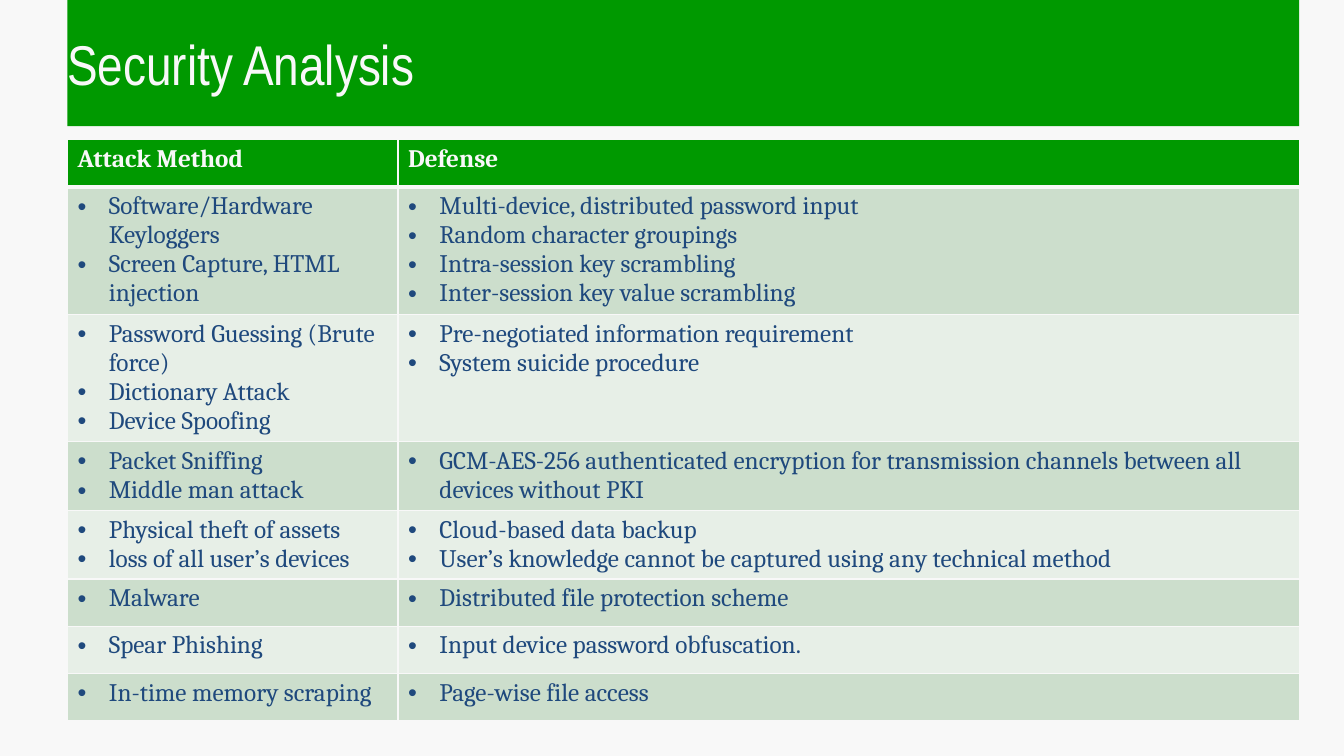
from lxml.etree import SubElement
from pptx import Presentation
from pptx.dml.color import RGBColor
from pptx.enum.shapes import MSO_SHAPE as Shape
from pptx.enum.text import MSO_ANCHOR as Anchor, PP_ALIGN as Align
from pptx.oxml.ns import qn
from pptx.util import Cm, Pt

GREEN, PALE, PALER = "009900", "CCDECC", "E7EFE7"
NAVY, WHITE = "1F497D", "F8F8F8"
LEFT, WIDTH = 1.7, 31.04
COLUMNS = (8.33, 22.71)

HEADINGS = ("Attack Method", "Defense")
# Lines of text in the taller cell, attacks, defenses
ROWS = [
    (4, ["Software/Hardware Keyloggers", "Screen Capture, HTML injection"],
     ["Multi-device, distributed password input", "Random character groupings",
      "Intra-session key scrambling", "Inter-session key value scrambling"]),
    (4, ["Password Guessing (Brute force)", "Dictionary Attack", "Device Spoofing"],
     ["Pre-negotiated information requirement", "System suicide procedure"]),
    (2, ["Packet Sniffing", "Middle man attack"],
     ["GCM-AES-256 authenticated encryption for transmission channels between all "
      "devices without PKI"]),
    (2, ["Physical theft of assets", "loss of all user’s devices"],
     ["Cloud-based data backup",
      "User’s knowledge cannot be captured using any technical method"]),
    (1, ["Malware"], ["Distributed file protection scheme"]),
    (1, ["Spear Phishing"], ["Input device password obfuscation."]),
    (1, ["In-time memory scraping"], ["Page-wise file access"]),
]


def color(value):
    return RGBColor.from_string(value)


def row_height(lines):
    return max(1.19, 0.25 + 0.74 * lines)


class Page:
    """The current slide and its text styles."""
    title_font, body_font = "Arial Narrow", "Cambria"
    title_size, body_size = 40, 18

    def __init__(self, deck):
        self.slide = deck.slides.add_slide(deck.slide_layouts[6])
        self.paint(self.slide.background, WHITE)

    def paint(self, item, value):
        item.fill.solid()
        item.fill.fore_color.rgb = color(value)

    def style(self, para, name, size, value, bold=False):
        font = para.font
        font.name, font.size, font.bold = name, Pt(size), bold
        font.color.rgb = color(value)

    def title(self, text, left, top, width, height):
        banner = self.slide.shapes.add_shape(
            Shape.RECTANGLE, Cm(left), Cm(top), Cm(width), Cm(height))
        banner.shadow.inherit = False
        self.paint(banner, GREEN)
        banner.line.fill.background()
        frame = banner.text_frame
        frame.margin_left = frame.margin_right = frame.margin_top = frame.margin_bottom = 0
        frame.vertical_anchor = Anchor.MIDDLE
        frame.word_wrap = True
        para = frame.paragraphs[0]
        para.text, para.alignment = text, Align.LEFT
        self.style(para, self.title_font, self.title_size, WHITE)

    def bullet(self, para):
        props = para._p.get_or_add_pPr()
        props.set("marL", str(Cm(0.79)))
        props.set("indent", str(-Cm(0.79)))
        SubElement(props, qn("a:buFont"), typeface="Arial")
        SubElement(props, qn("a:buChar"), char="•")

    def borders(self, cell, top=1, bottom=1):
        props = cell._tc.get_or_add_tcPr()
        for side, points in (("L", 1), ("R", 1), ("T", top), ("B", bottom)):
            line = SubElement(props, qn(f"a:ln{side}"), w=str(Pt(points)))
            SubElement(SubElement(line, qn("a:solidFill")), qn("a:srgbClr"), val=WHITE)

    def fill_cell(self, cell, row, texts):
        header = row == 0
        self.borders(cell, top=3 if row == 1 else 1, bottom=3 if header else 1)
        self.paint(cell, GREEN if header else PALE if row % 2 else PALER)
        frame = cell.text_frame
        for number, text in enumerate(texts):
            para = frame.add_paragraph() if number else frame.paragraphs[0]
            para.text = text
            self.style(para, self.body_font, self.body_size,
                       WHITE if header else NAVY, bold=header)
            if not header:
                self.bullet(para)

    def table(self, left, top, widths, headings, rows):
        content = [(1, *([heading] for heading in headings)), *rows]
        heights = [row_height(lines) for lines, *_ in content]
        table = self.slide.shapes.add_table(
            len(content), len(widths), Cm(left), Cm(top),
            Cm(sum(widths)), Cm(sum(heights))).table
        for column, width in zip(table.columns, widths):
            column.width = Cm(width)
        for row, (_, *cells) in enumerate(content):
            table.rows[row].height = Cm(heights[row])
            for column, texts in enumerate(cells):
                self.fill_cell(table.cell(row, column), row, texts)


def main():
    deck = Presentation()
    deck.slide_width, deck.slide_height = Cm(33.87), Cm(19.05)
    page = Page(deck)
    page.title("Security Analysis", LEFT, 0, WIDTH, 3.18)
    page.table(LEFT, 3.52, COLUMNS, HEADINGS, ROWS)
    deck.save("out.pptx")


if __name__ == "__main__":
    main()
